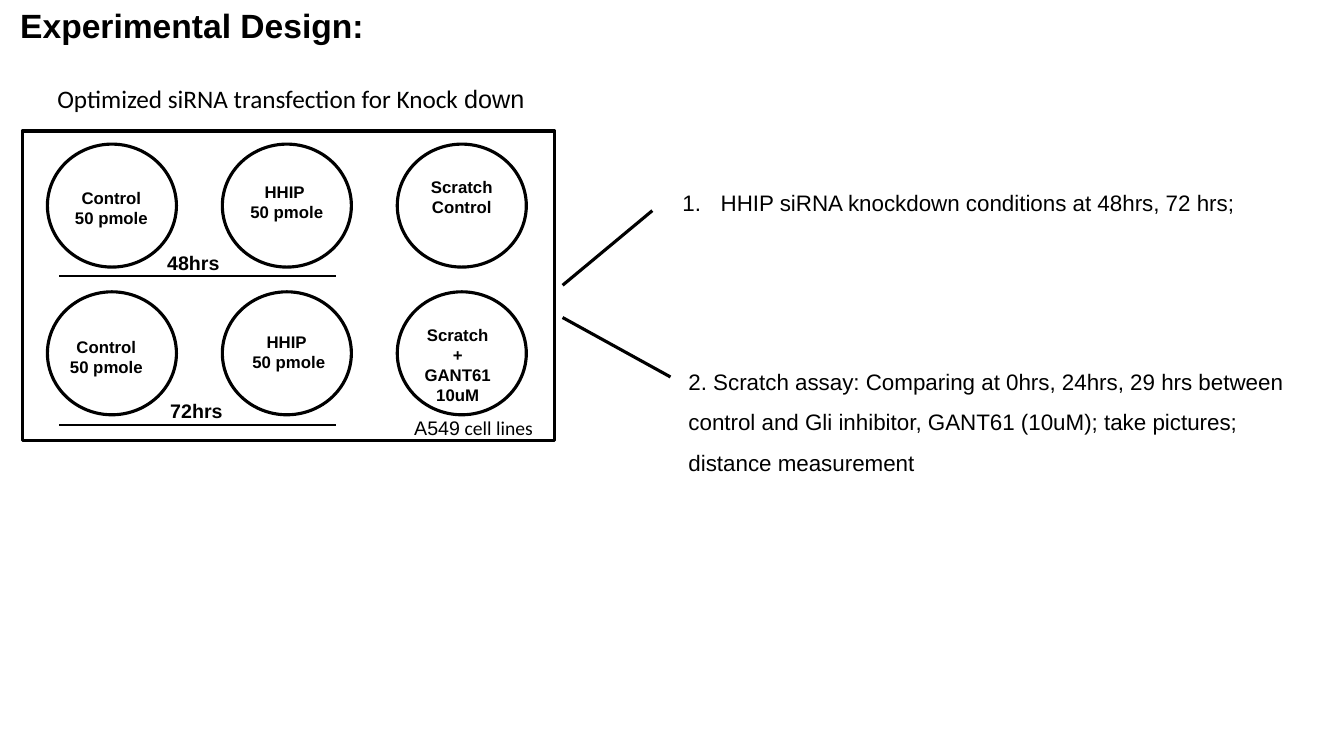
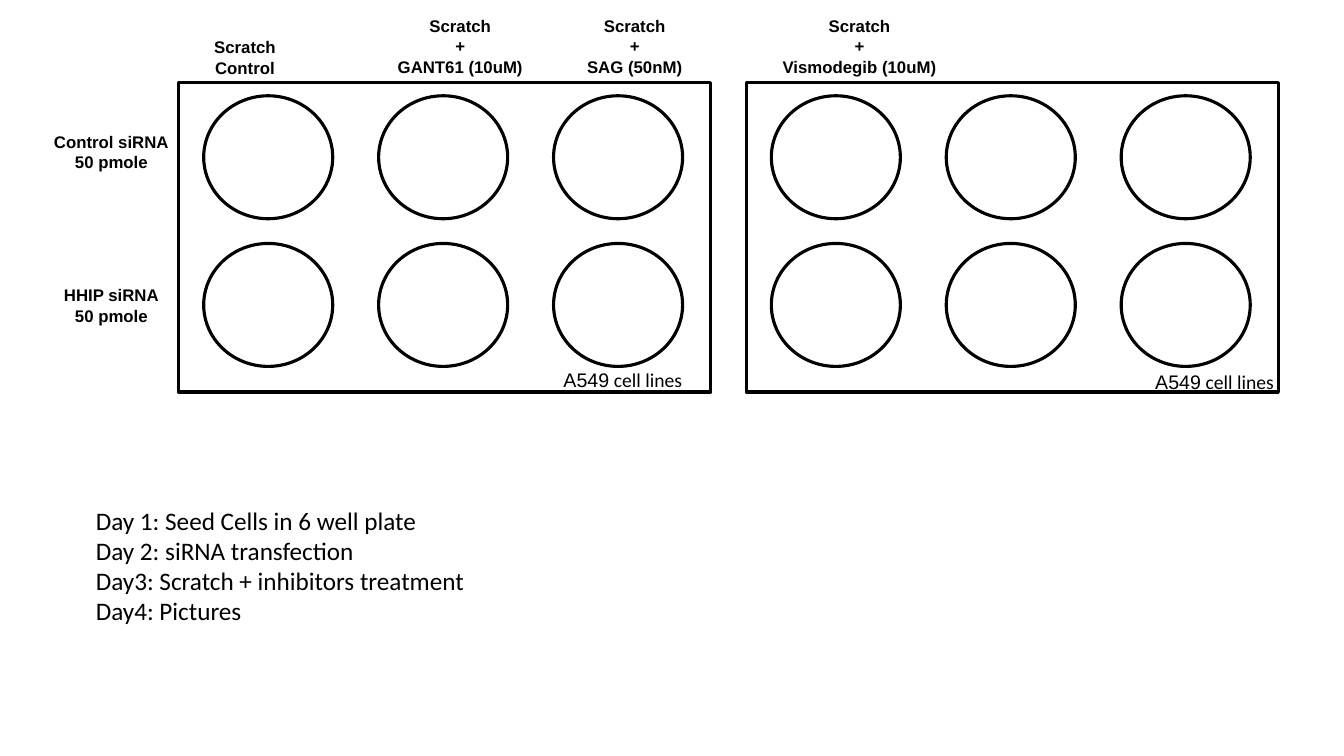
from itertools import product

from lxml import etree
from pptx import Presentation
from pptx.dml.color import RGBColor
from pptx.enum.shapes import MSO_CONNECTOR, MSO_SHAPE
from pptx.enum.text import MSO_ANCHOR, MSO_AUTO_SIZE, PP_ALIGN
from pptx.oxml.ns import qn
from pptx.util import Inches, Pt

LEFT, CENTER = PP_ALIGN.LEFT, PP_ALIGN.CENTER
TOP = MSO_ANCHOR.TOP
RECTANGLE, OVAL = MSO_SHAPE.RECTANGLE, MSO_SHAPE.OVAL
STRAIGHT = MSO_CONNECTOR.STRAIGHT

COLORS = {"ink": "000000"}
SANS, BODY = "Arial", "Calibri"
SLIDE_SIZE = (13.33, 7.5)
TITLE_ONLY, TITLE_AND_CONTENT = 5, 1

# Six-well plate geometry, in inches
PLATE_SIZE = (5.28, 3.07)
WELL_SIZE = (1.28, 1.22)
WELL_OFFSET = (0.25, 0.13)
WELL_PITCH = (1.735, 1.465)
COLUMNS, ROWS = 3, 2
THICK, THIN = 2.25, 1.5

# Labels: (left, top, width, height), lines
TITLE = ((0.1, 0, 3.64, 0.5), ["Experimental Design:"])
DESIGN_PLATE = (0.22, 1.3)
CAPTION = [[("Optimized siRNA transfection for Knock ", BODY), ("down", SANS)]]
CELL_LINE = [[("A549", SANS), (" cell lines", BODY)]]
DESIGN_WELLS = [
    ((0.64, 1.81, 0.93, 0.5), ["Control", "50 pmole"]),
    ((2.38, 1.75, 0.93, 0.5), ["HHIP ", "50 pmole"]),
    ((4.17, 1.7, 0.82, 0.5), ["Scratch", "Control"]),
    ((0.59, 3.29, 0.93, 0.5), ["Control", "50 pmole"]),
    ((2.4, 3.24, 0.93, 0.5), ["HHIP ", "50 pmole"]),
    ((4.11, 3.17, 0.86, 0.91), ["Scratch", "+", "GANT61", "10uM"]),
]
TIMES = [
    ((1.56, 2.44, 0.86, 0.34), ["48hrs"], 2.74),
    ((1.59, 3.91, 0.86, 0.34), ["72hrs"], 4.22),
]
TIME_RULE = (0.59, 3.33)
BRANCHES = [((5.58, 2.83), (6.47, 2.09)), ((5.58, 3.15), (6.65, 3.74))]
KNOCKDOWN = ((6.67, 1.69, 5.74, 0.86),
             ["HHIP siRNA knockdown conditions at 48hrs, 72 hrs;"])
SCRATCH_ASSAY = ((6.73, 3.47, 6.24, 1.26), [
    "2. Scratch assay: Comparing at 0hrs, 24hrs, 29 hrs between",
    "control and Gli inhibitor, GANT61 (10uM); take pictures;",
    "distance measurement",
])

TREATMENT_PLATES = [(1.77, 0.82), (7.4, 0.82)]
TREATMENT_LABELS = [
    ((0.43, 1.26, 1.35, 0.5), ["Control siRNA", "50 pmole"]),
    ((0.53, 2.78, 1.15, 0.5), ["HHIP siRNA", "50 pmole"]),
    ((2.02, 0.32, 0.82, 0.5), ["Scratch", "Control"]),
    ((3.71, 0.11, 1.71, 0.71), ["Scratch", "+", "GANT61 (10uM)"]),
    ((5.58, 0.11, 1.43, 0.71), ["Scratch", "+", "SAG (50nM)"]),
    ((7.51, 0.11, 2.03, 0.71), ["Scratch", "+", "Vismodegib (10uM)"]),
]
TREATMENT_CELL_LINES = [(5.49, 3.6, 1.46, 0.34), (11.36, 3.62, 1.46, 0.34)]
SCHEDULE = ((0.85, 4.96, 3.9, 1.31), [
    "Day 1: Seed Cells in 6 well plate",
    "Day 2: siRNA transfection",
    "Day3: Scratch + inhibitors treatment",
    "Day4: Pictures",
])


def color(name):
    return RGBColor.from_string(COLORS[name])


def inches(values):
    return [Inches(value) for value in values]


def write_text(text_frame, lines, size, font=SANS, bold=False, align=LEFT,
               wrap=False, spacing=1.0):
    """Fill a frame; a line is a string or a list of (text, font) parts."""
    text_frame.auto_size = MSO_AUTO_SIZE.NONE
    text_frame.word_wrap = wrap
    text_frame.vertical_anchor = TOP
    for index, line in enumerate(lines):
        paragraph = text_frame.paragraphs[0] if index == 0 else text_frame.add_paragraph()
        parts = [(line, font)] if isinstance(line, str) else line
        for text, part_font in parts:
            run = paragraph.add_run()
            run.text = text
            run.font.name = part_font
            run.font.size = Pt(size)
            run.font.bold = bold
            run.font.color.rgb = color("ink")
        paragraph.alignment = align
        paragraph.line_spacing = spacing
        paragraph.space_before = Pt(0)


def add_text(slide, box, lines, size, **style):
    text_box = slide.shapes.add_textbox(*inches(box))
    write_text(text_box.text_frame, lines, size, **style)
    return text_box


def fill_placeholder(placeholder, box, lines, size, **style):
    placeholder.left, placeholder.top, placeholder.width, placeholder.height = inches(box)
    write_text(placeholder.text_frame, lines, size, **style)


def set_bullet(paragraph, tag, indent=0, **attributes):
    """Set the bullet element and a hanging indent in inches."""
    properties = paragraph._p.get_or_add_pPr()
    properties.set("marL", str(Inches(indent)))
    properties.set("indent", str(-Inches(indent)))
    etree.SubElement(properties, qn(tag), attributes)


def add_outline(slide, kind, position, size):
    shape = slide.shapes.add_shape(kind, *inches(position + size))
    shape.shadow.inherit = False
    shape.fill.background()
    shape.line.color.rgb = color("ink")
    shape.line.width = Pt(THICK)


def add_plate(slide, position):
    add_outline(slide, RECTANGLE, position, PLATE_SIZE)
    for cell in product(range(COLUMNS), range(ROWS)):
        well = tuple(start + offset + step * pitch for start, offset, step, pitch
                     in zip(position, WELL_OFFSET, cell, WELL_PITCH))
        add_outline(slide, OVAL, well, WELL_SIZE)


def add_line(slide, start, end, width):
    connector = slide.shapes.add_connector(STRAIGHT, *inches(start + end))
    connector.line.color.rgb = color("ink")
    connector.line.width = Pt(width)
    etree.SubElement(connector._element.spPr, qn("a:effectLst"))


def add_well_labels(slide, labels):
    for box, lines in labels:
        add_text(slide, box, lines, 12, bold=True, align=CENTER)


def build_design_slide(presentation):
    slide = presentation.slides.add_slide(presentation.slide_layouts[TITLE_ONLY])
    fill_placeholder(slide.shapes.title, *TITLE, 24, bold=True)
    add_plate(slide, DESIGN_PLATE)
    add_well_labels(slide, DESIGN_WELLS)
    add_text(slide, (0.47, 0.78, 5.48, 0.4), CAPTION, 18, wrap=True)
    add_text(slide, (4.01, 4.08, 3, 0.34), CELL_LINE, 14, wrap=True)
    rule_left, rule_right = TIME_RULE
    for box, lines, rule_top in TIMES:
        add_line(slide, (rule_left, rule_top), (rule_right, rule_top), THIN)
        add_text(slide, box, lines, 14, bold=True, wrap=True)
    for start, end in BRANCHES:
        add_line(slide, start, end, THICK)
    knockdown = add_text(slide, *KNOCKDOWN, 16, spacing=1.5)
    set_bullet(knockdown.text_frame.paragraphs[0], "a:buAutoNum", 0.38, type="arabicPeriod")
    add_text(slide, *SCRATCH_ASSAY, 16, spacing=1.5)


def build_treatment_slide(presentation):
    slide = presentation.slides.add_slide(presentation.slide_layouts[TITLE_AND_CONTENT])
    title = slide.shapes.title.element
    title.getparent().remove(title)
    for position in TREATMENT_PLATES:
        add_plate(slide, position)
    add_well_labels(slide, TREATMENT_LABELS)
    for box in TREATMENT_CELL_LINES:
        add_text(slide, box, CELL_LINE, 14, wrap=True)
    schedule = slide.placeholders[1]
    fill_placeholder(schedule, *SCHEDULE, 18, font=BODY)
    for paragraph in schedule.text_frame.paragraphs:
        set_bullet(paragraph, "a:buNone")


def main():
    presentation = Presentation()
    presentation.slide_width, presentation.slide_height = inches(SLIDE_SIZE)
    build_design_slide(presentation)
    build_treatment_slide(presentation)
    presentation.save("out.pptx")


if __name__ == "__main__":
    main()
